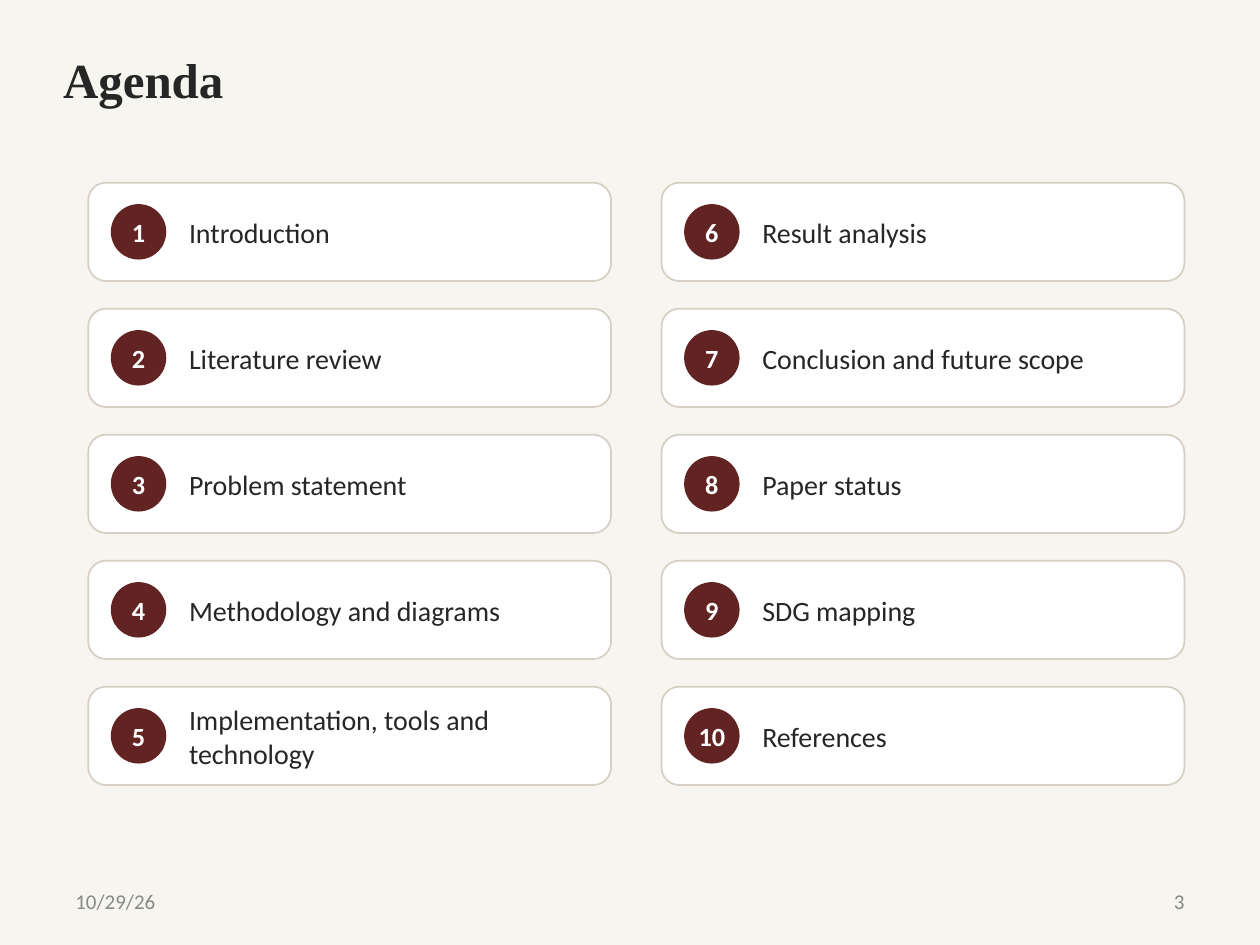
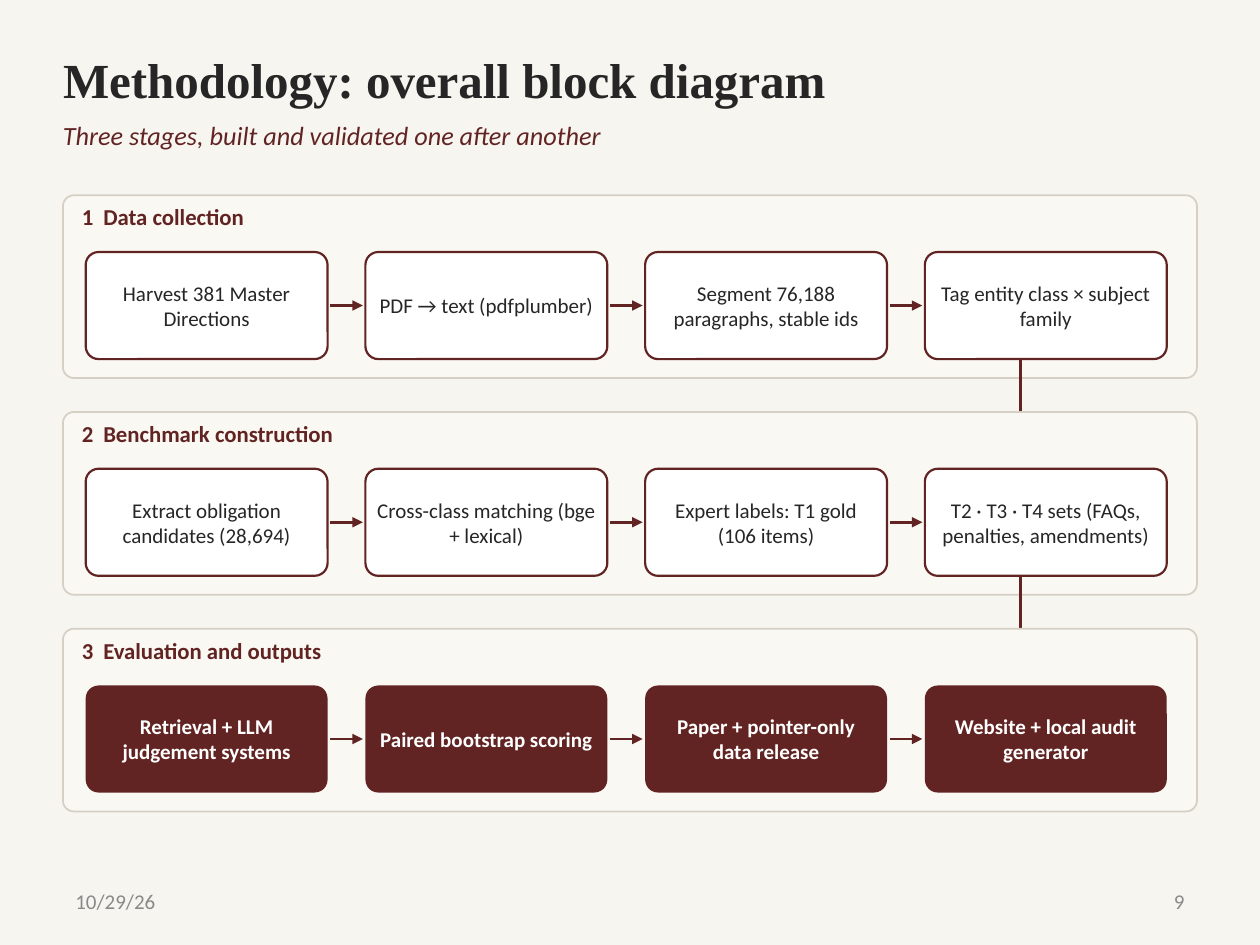
from dataclasses import dataclass

from lxml import etree
from pptx import Presentation
from pptx import util as u
from pptx.dml.color import RGBColor
from pptx.enum import shapes, text
from pptx.oxml.ns import qn

# ---- Content ----
DATE = "10/29/26"

AGENDA = {
    "title": "Agenda",
    "number": 3,
    "topics": [
        "Introduction", "Literature review", "Problem statement",
        "Methodology and diagrams", "Implementation, tools and technology",
        "Result analysis", "Conclusion and future scope", "Paper status",
        "SDG mapping", "References",
    ],
}

METHOD = {
    "title": "Methodology: overall block diagram",
    "subtitle": "Three stages, built and validated one after another",
    "number": 9,
    "stages": [
        ("Data collection", [
            "Harvest 381 Master Directions", "PDF → text (pdfplumber)",
            "Segment 76,188 paragraphs, stable ids",
            "Tag entity class × subject family"]),
        ("Benchmark construction", [
            "Extract obligation candidates (28,694)",
            "Cross-class matching (bge + lexical)",
            "Expert labels: T1 gold (106 items)",
            "T2 · T3 · T4 sets (FAQs, penalties, amendments)"]),
        ("Evaluation and outputs", [
            "Retrieval + LLM judgement systems", "Paired bootstrap scoring",
            "Paper + pointer-only data release",
            "Website + local audit generator"]),
    ],
}


# ---- Theme ----
@dataclass(frozen=True)
class Theme:
    paper: str = "F6F5F0"
    panel: str = "FAF8F3"
    white: str = "FFFFFF"
    border: str = "D6D0C4"
    accent: str = "622423"
    ink: str = "262626"
    muted: str = "898989"
    serif: str = "Times New Roman"
    sans: str = "Calibri"
    title: int = 28
    topic: int = 16
    lead: int = 15
    heading: int = 13
    small: int = 12


THEME = Theme()
WIDTH, HEIGHT, MARGIN = 10, 7.5, 0.5
CONTENT_WIDTH = WIDTH - 2 * MARGIN
ALIGN, ANCHOR = text.PP_ALIGN, text.MSO_ANCHOR
ROUNDED = shapes.MSO_SHAPE.ROUNDED_RECTANGLE


# ---- Building blocks ----
def inches(*lengths):
    return [u.Inches(length) for length in lengths]


def write(box, words, size, color, bold=False, italic=False, font=THEME.sans,
          align=ALIGN.LEFT, anchor=ANCHOR.MIDDLE, inset=(0, 0), wrap=True,
          tab=None):
    frame = box.text_frame
    frame.word_wrap = wrap
    frame.auto_size = text.MSO_AUTO_SIZE.NONE
    frame.vertical_anchor = anchor
    frame.margin_left = frame.margin_right = u.Inches(inset[0])
    frame.margin_top = frame.margin_bottom = u.Inches(inset[1])
    para = frame.paragraphs[0]
    para.alignment = align
    if tab:
        stops = etree.SubElement(para._p.get_or_add_pPr(), qn("a:tabLst"))
        etree.SubElement(stops, qn("a:tab"), pos=str(u.Inches(tab)), algn="l")
    span = para.add_run()
    span.text = words
    span.font.name, span.font.size = font, u.Pt(size)
    span.font.bold, span.font.italic = bold, italic
    span.font.color.rgb = RGBColor.from_string(color)


def add_text(page, place, words, size, color, **style):
    box = page.shapes.add_textbox(*inches(*place))
    write(box, words, size, color, **style)


def add_block(page, kind, place, fill, line=None, weight=1, corner=None):
    block = page.shapes.add_shape(kind, *inches(*place))
    block.shadow.inherit = False
    block.fill.solid()
    block.fill.fore_color.rgb = RGBColor.from_string(fill)
    if line:
        block.line.color.rgb = RGBColor.from_string(line)
        block.line.width = u.Pt(weight)
    else:
        block.line.fill.background()
    if corner is not None:
        block.adjustments[0] = corner
    return block


def add_arrow(page, *ends):
    arrow = page.shapes.add_connector(shapes.MSO_CONNECTOR.STRAIGHT, *inches(*ends))
    arrow.line.color.rgb = RGBColor.from_string(THEME.accent)
    arrow.line.width = u.Pt(1.5)
    etree.SubElement(arrow.line._get_or_add_ln(), qn("a:tailEnd"), type="triangle")
    etree.SubElement(arrow._element.spPr, qn("a:effectLst"))


def add_page(deck, content):
    """Title, optional subtitle, date and page number."""
    page = deck.slides.add_slide(deck.slide_layouts.get_by_name("Title Only"))
    title = page.shapes.title
    title.left, title.top, title.width, title.height = inches(
        MARGIN, 0.32, CONTENT_WIDTH, 0.62)
    write(title, content["title"], THEME.title, THEME.ink, bold=True,
          font=THEME.serif, inset=(0, 0.05))
    if "subtitle" in content:
        add_text(page, (MARGIN, 0.95, CONTENT_WIDTH, 0.42), content["subtitle"],
                 THEME.lead, THEME.accent, italic=True, anchor=ANCHOR.TOP)
    footer_width = 2.33
    for left, words, align in (
            (MARGIN, DATE, ALIGN.LEFT),
            (WIDTH - MARGIN - footer_width, str(content["number"]), ALIGN.RIGHT)):
        add_text(page, (left, 6.95, footer_width, 0.4), words, THEME.small,
                 THEME.muted, align=align, inset=(0.1, 0.05))
    return page


# ---- Agenda: numbered cards, filled column by column ----
def build_agenda(deck):
    page = add_page(deck, AGENDA)
    rows, column_step, row_step = 5, 4.55, 1
    card_width, card_height, badge = 4.15, 0.78, 0.44
    for index, topic in enumerate(AGENDA["topics"]):
        column, row = divmod(index, rows)
        left, top = 0.7 + column * column_step, 1.45 + row * row_step
        add_block(page, ROUNDED, (left, top, card_width, card_height),
                  THEME.white, THEME.border, corner=0.18)
        disc = add_block(page, shapes.MSO_SHAPE.OVAL,
                         (left + 0.18, top + (card_height - badge) / 2, badge, badge),
                         THEME.accent)
        write(disc, str(index + 1), THEME.lead, THEME.white, bold=True,
              align=ALIGN.CENTER, wrap=False)
        add_text(page, (left + 0.8, top + 0.12, 3.25, 0.55), topic,
                 THEME.topic, THEME.ink)


# ---- Methodology: one panel per stage, four steps in each ----
def build_method(deck):
    page = add_page(deck, METHOD)
    first_top, stage_step, panel_height = 1.55, 1.72, 1.45
    step_width, step_height, step_pitch, step_drop = 1.92, 0.85, 2.22, 0.45
    arrow_gap, link_x = 0.02, 8.1
    last_stage = len(METHOD["stages"]) - 1
    for row, (heading, steps) in enumerate(METHOD["stages"]):
        top = first_top + row * stage_step
        step_top = top + step_drop
        final = row == last_stage
        add_block(page, ROUNDED, (MARGIN, top, CONTENT_WIDTH, panel_height),
                  THEME.panel, THEME.border, corner=0.06)
        add_text(page, (0.65, top + 0.06, 4, 0.35), f"{row + 1}\t{heading}",
                 THEME.heading, THEME.accent, bold=True, anchor=ANCHOR.TOP,
                 tab=0.17)
        for column, step in enumerate(steps):
            left = 0.68 + column * step_pitch
            block = add_block(page, ROUNDED, (left, step_top, step_width, step_height),
                              THEME.accent if final else THEME.white,
                              None if final else THEME.accent, 1.25, 0.12)
            write(block, step, THEME.small, THEME.white if final else THEME.ink,
                  bold=final, align=ALIGN.CENTER, inset=(0.06, 0.03))
            if column < len(steps) - 1:
                middle = step_top + step_height / 2
                add_arrow(page, left + step_width + arrow_gap, middle,
                          left + step_pitch - arrow_gap, middle)
        if not final:
            add_arrow(page, link_x, step_top + step_height,
                      link_x, step_top + stage_step)


def main():
    deck = Presentation()
    deck.slide_width, deck.slide_height = inches(WIDTH, HEIGHT)
    backdrop = deck.slide_master.background.fill
    backdrop.solid()
    backdrop.fore_color.rgb = RGBColor.from_string(THEME.paper)
    build_agenda(deck)
    build_method(deck)
    deck.save("out.pptx")


if __name__ == "__main__":
    main()
